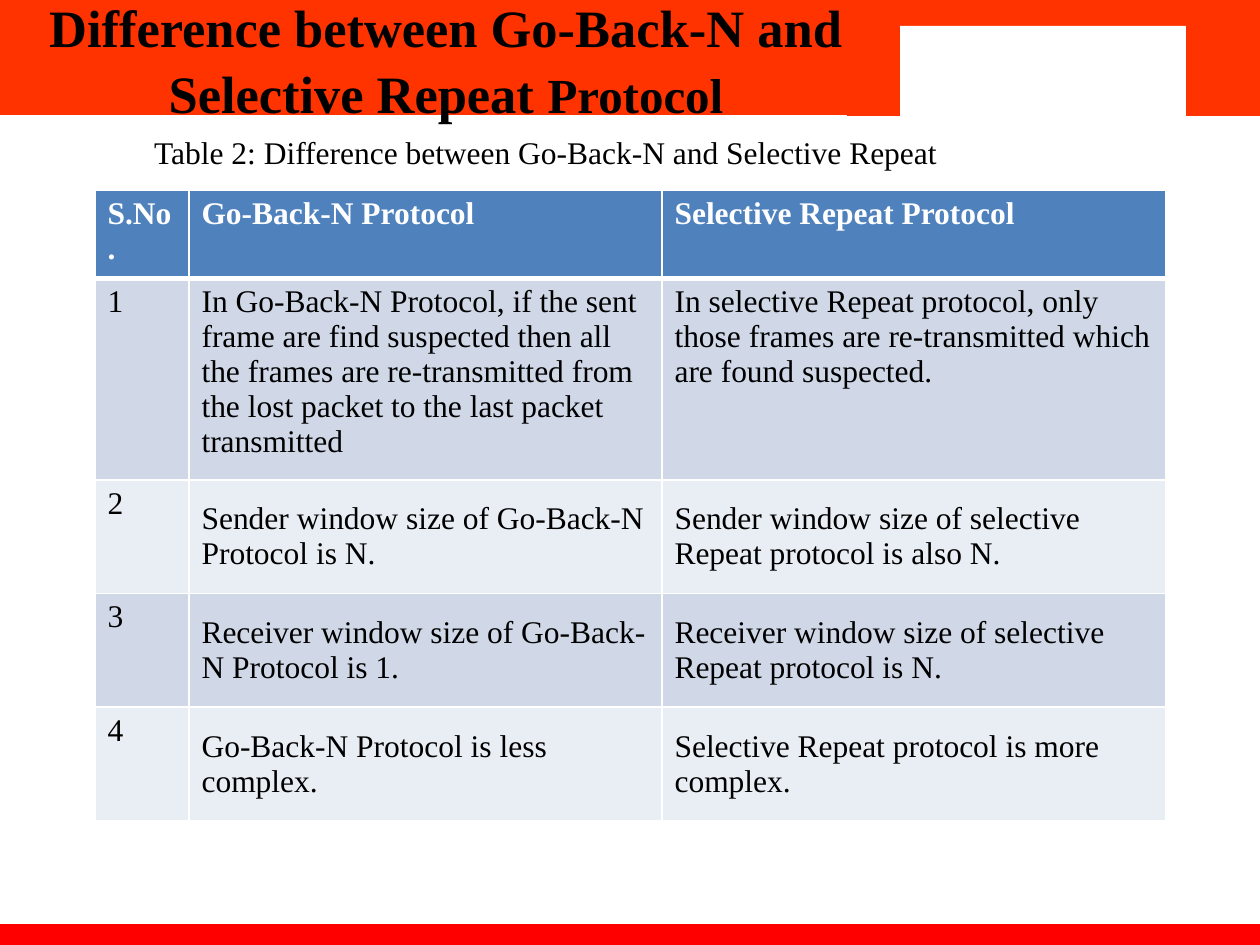
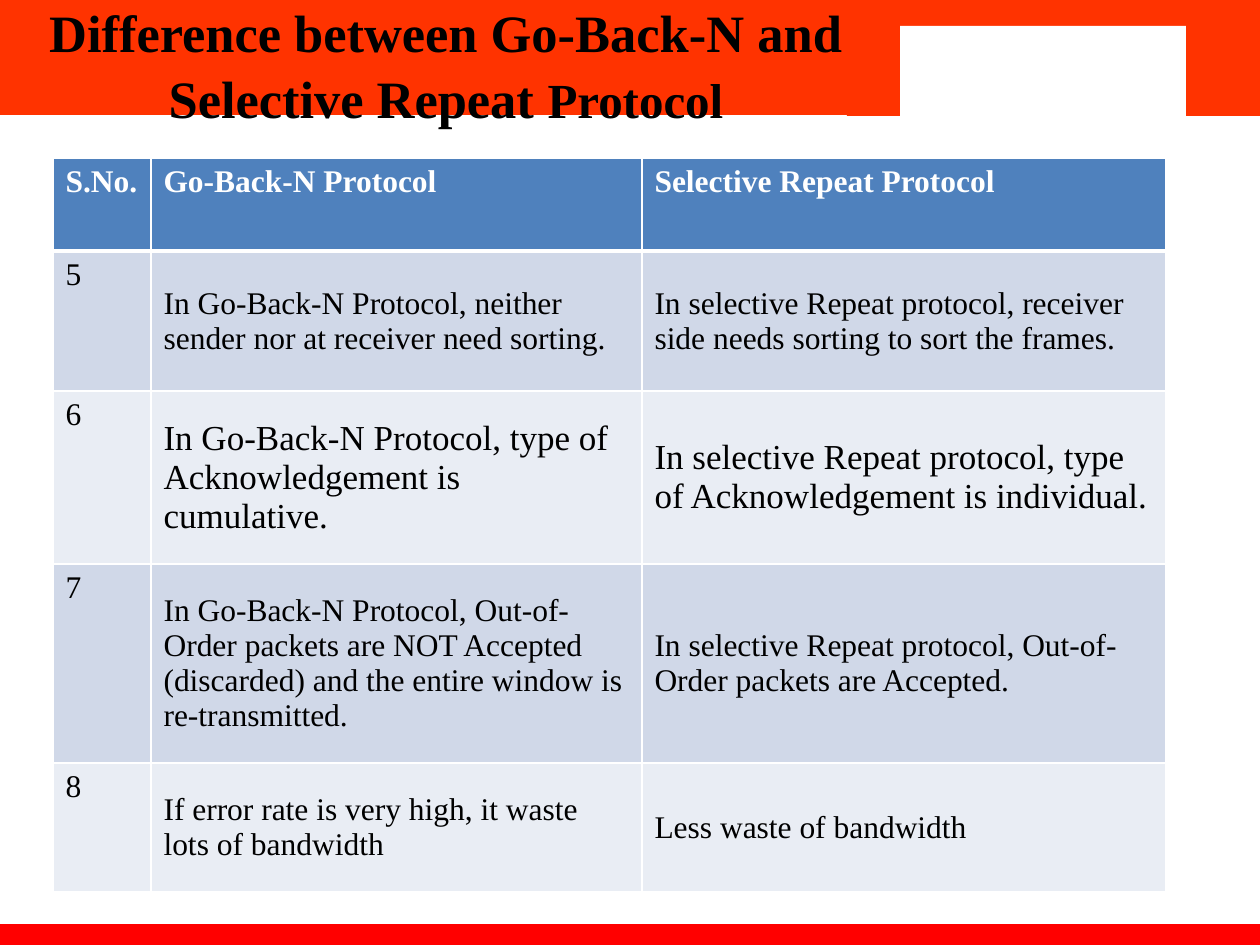
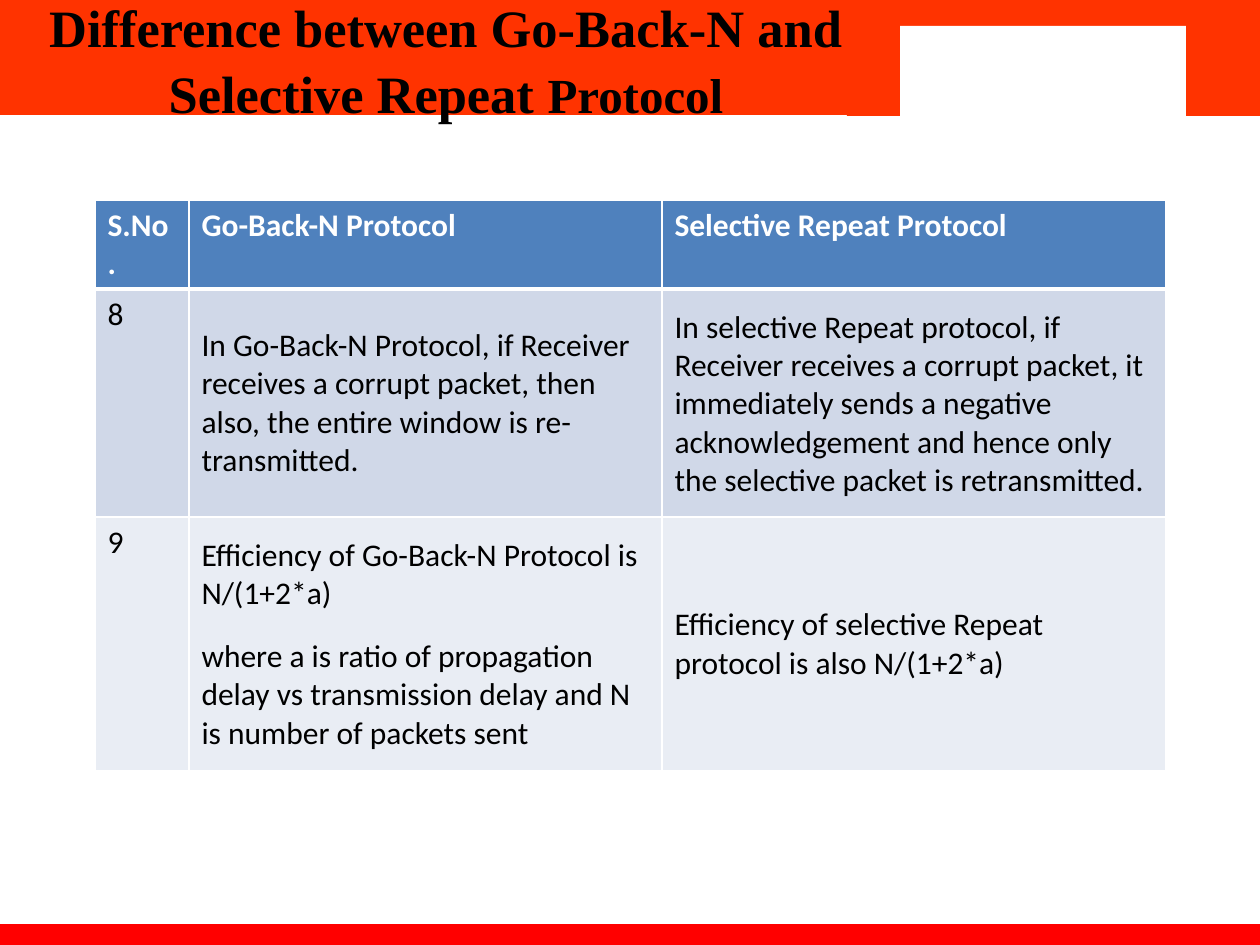
import pptx
import pptx.dml.color
import pptx.enum.shapes
import pptx.enum.text
import pptx.oxml
import pptx.oxml.ns
import pptx.util

EMU_PER_PX = 914400 / 126
WIDTH, HEIGHT = 1260, 945

BAND_RED, FOOTER_RED = "FF3300", "FF0000"
BLACK, WHITE = "000000", "FFFFFF"
HEADER_BLUE = "4F81BD"
ROW_FILLS = ("D0D8E8", "E9EDF4")
SERIF, SANS = "Times New Roman", "Calibri"
MIDDLE, TOP = pptx.enum.text.MSO_ANCHOR.MIDDLE, pptx.enum.text.MSO_ANCHOR.TOP

TITLE = (("Difference between Go-Back-N and Selective Repeat ", 30), ("Protocol", 28))
HEADINGS = ("S.No.", "Go-Back-N Protocol", "Selective Repeat Protocol")
NARROW_COLUMNS = (94, 473, 504)
WIDE_COLUMNS = (98, 491, 524)


def px(length):
    return pptx.util.Emu(round(length * EMU_PER_PX))


def color(hex_string):
    return pptx.dml.color.RGBColor.from_string(hex_string)


class Deck:
    def __init__(self):
        self.presentation = pptx.Presentation()
        self.presentation.slide_width = px(WIDTH)
        self.presentation.slide_height = px(HEIGHT)
        self.slide = None

    def add_slide(self, title_top=0):
        """Start a slide with the shared bands and title."""
        self.slide = self.presentation.slides.add_slide(self.presentation.slide_layouts[6])
        self.add_band(0, 0, WIDTH, 115, BAND_RED)
        self.add_band(0, 924, WIDTH, 21, FOOTER_RED)
        self.add_band(847, 0, 413, 116, BAND_RED)
        self.add_band(900, 26, 286, 95, WHITE)
        title = self.add_text(0, title_top, 892, 116, TITLE, bold=True, anchor=MIDDLE)
        title.line_spacing = 1.05
        title.space_before = pptx.util.Pt(3)

    def add_band(self, left, top, width, height, fill):
        shape = self.slide.shapes.add_shape(
            pptx.enum.shapes.MSO_SHAPE.RECTANGLE, px(left), px(top), px(width), px(height))
        shape.shadow.inherit = False
        shape.fill.solid()
        shape.fill.fore_color.rgb = color(fill)
        shape.line.fill.background()

    def add_text(self, left, top, width, height, pieces, bold=False, anchor=TOP):
        """Add one centred paragraph made of (text, size) pieces and return it."""
        shape = self.slide.shapes.add_textbox(px(left), px(top), px(width), px(height))
        shape.text_frame.word_wrap = True
        shape.text_frame.vertical_anchor = anchor
        paragraph = shape.text_frame.paragraphs[0]
        paragraph.alignment = pptx.enum.text.PP_ALIGN.CENTER
        for text, size in pieces:
            run = paragraph.add_run()
            run.text = text
            self.format_font(run.font, SERIF, size, BLACK, bold)
        return paragraph

    def format_font(self, font, name, size, font_color, bold):
        font.name = name
        font.size = pptx.util.Pt(size)
        font.bold = bold
        font.color.rgb = color(font_color)

    def add_table(self, left, top, columns, heights, rows, font=SERIF, large=(), top_rows=()):
        """Add a comparison table; large and top_rows list row numbers set bigger or at the top."""
        table = self.slide.shapes.add_table(
            len(heights), len(columns), px(left), px(top),
            px(sum(columns)), px(sum(heights))).table
        for column, width in zip(table.columns, columns):
            column.width = px(width)
        for row, height in zip(table.rows, heights):
            row.height = px(height)
        for row_number, texts in enumerate((HEADINGS, *rows)):
            for column_number, text in enumerate(texts):
                cell = table.cell(row_number, column_number)
                is_header = row_number == 0
                is_comparison = column_number > 0 and not is_header
                self.add_borders(cell, row_number)
                cell.fill.solid()
                cell.fill.fore_color.rgb = color(
                    HEADER_BLUE if is_header else ROW_FILLS[(row_number - 1) % 2])
                if is_comparison and row_number not in top_rows:
                    cell.vertical_anchor = MIDDLE
                    cell.margin_top = cell.margin_bottom = px(19)
                cell.text_frame.text = text
                size = 20 if is_comparison and row_number in large else 18
                for paragraph in cell.text_frame.paragraphs:
                    self.format_font(paragraph.runs[0].font, font, size,
                                     WHITE if is_header else BLACK, is_header)
                for paragraph in cell.text_frame.paragraphs[1:]:
                    paragraph.space_before = pptx.util.Pt(14)

    def add_borders(self, cell, row_number):
        """Draw white cell borders, heavy between the header and the first row."""
        properties = cell._tc.get_or_add_tcPr()
        heavy_side = {0: "B", 1: "T"}.get(row_number)
        for side in "LRTB":
            width = pptx.util.Pt(3 if side == heavy_side else 1)
            properties.append(pptx.oxml.parse_xml(
                f'<a:ln{side} {pptx.oxml.ns.nsdecls("a")} w="{width}"><a:solidFill>'
                f'<a:srgbClr val="{WHITE}"/></a:solidFill></a:ln{side}>'))


def main():
    deck = Deck()

    deck.add_slide()
    deck.add_table(95, 190, NARROW_COLUMNS, (88, 201, 112, 112, 112), (
        ("1", "In Go-Back-N Protocol, if the sent frame are find suspected then all the frames "
              "are re-transmitted from the lost packet to the last packet transmitted",
         "In selective Repeat protocol, only those frames are re-transmitted which are found "
         "suspected."),
        ("2", "Sender window size of Go-Back-N Protocol is N.",
         "Sender window size of selective Repeat protocol is also N."),
        ("3", "Receiver window size of Go-Back-N Protocol is 1.",
         "Receiver window size of selective Repeat protocol is N."),
        ("4", "Go-Back-N Protocol is less complex.",
         "Selective Repeat protocol is more complex."),
    ), top_rows=(1,))
    deck.add_text(105, 127, 882, 50,
                  (("Table 2: Difference between Go-Back-N and Selective Repeat", 18),))

    deck.add_slide(title_top=5)
    deck.add_table(53, 158, WIDE_COLUMNS, (93, 140, 173, 199, 129), (
        ("5", "In Go-Back-N Protocol, neither sender nor at receiver need sorting.",
         "In selective Repeat protocol, receiver side needs sorting to sort the frames."),
        ("6", "In Go-Back-N Protocol, type of Acknowledgement is cumulative.",
         "In selective Repeat protocol, type of Acknowledgement is individual."),
        ("7", "In Go-Back-N Protocol, Out-of-Order packets are NOT Accepted (discarded) and "
              "the entire window is re-transmitted.",
         "In selective Repeat protocol, Out-of-Order packets are Accepted."),
        ("8", "If error rate is very high, it waste lots of bandwidth",
         "Less waste of bandwidth"),
    ), large=(2,))

    deck.add_slide()
    deck.add_table(95, 200, NARROW_COLUMNS, (89, 228, 254), (
        ("8", "In Go-Back-N Protocol, if Receiver receives a corrupt packet, then also, the "
              "entire window is re-transmitted.",
         "In selective Repeat protocol, if Receiver receives a corrupt packet, it immediately "
         "sends a negative acknowledgement and hence only the selective packet is "
         "retransmitted."),
        ("9", "Efficiency of Go-Back-N Protocol is N/(1+2*a)\n"
              "where a is ratio of propagation delay vs transmission delay and N is number of "
              "packets sent",
         "Efficiency of selective Repeat protocol is also N/(1+2*a)"),
    ), font=SANS)

    deck.presentation.save("out.pptx")


if __name__ == "__main__":
    main()
